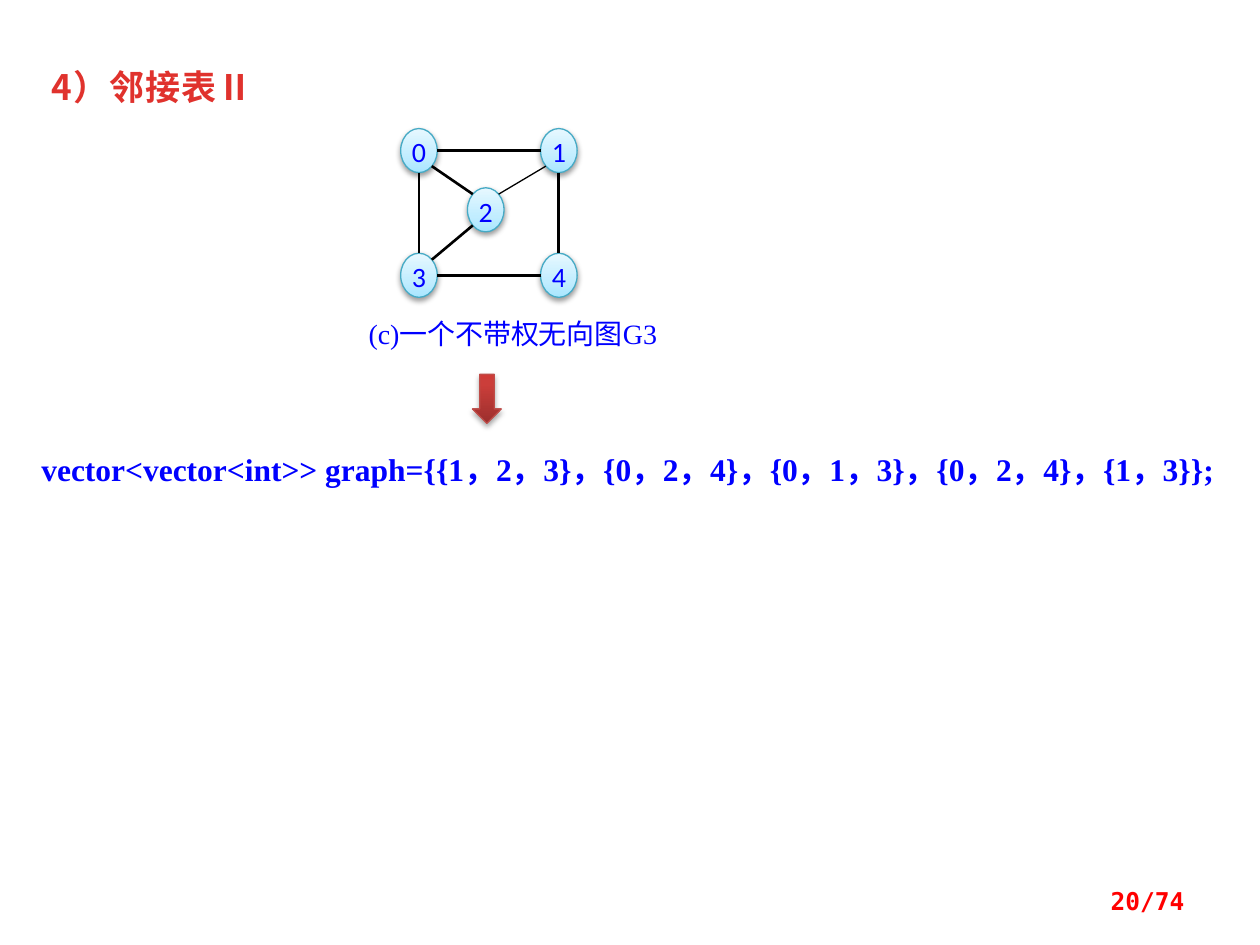
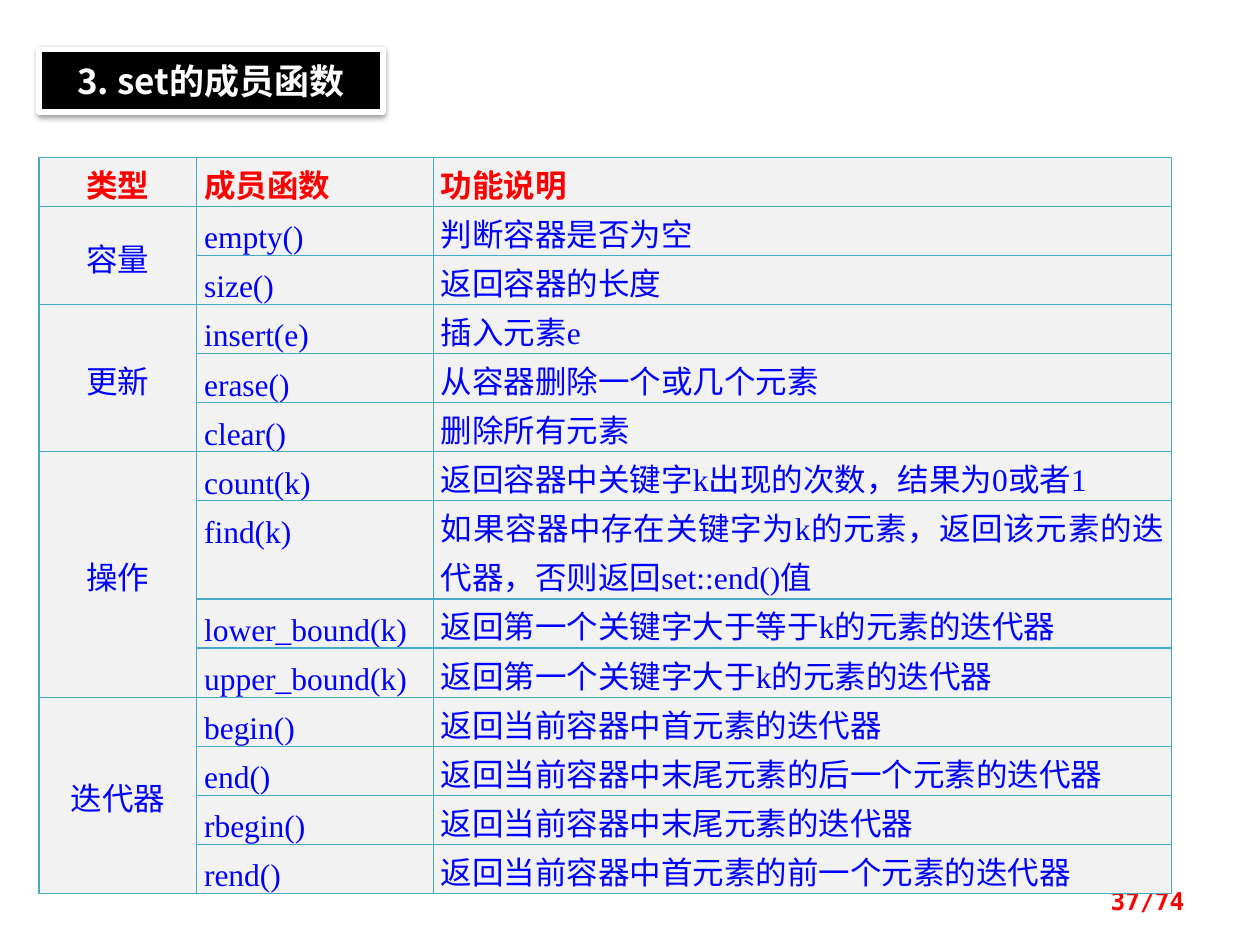
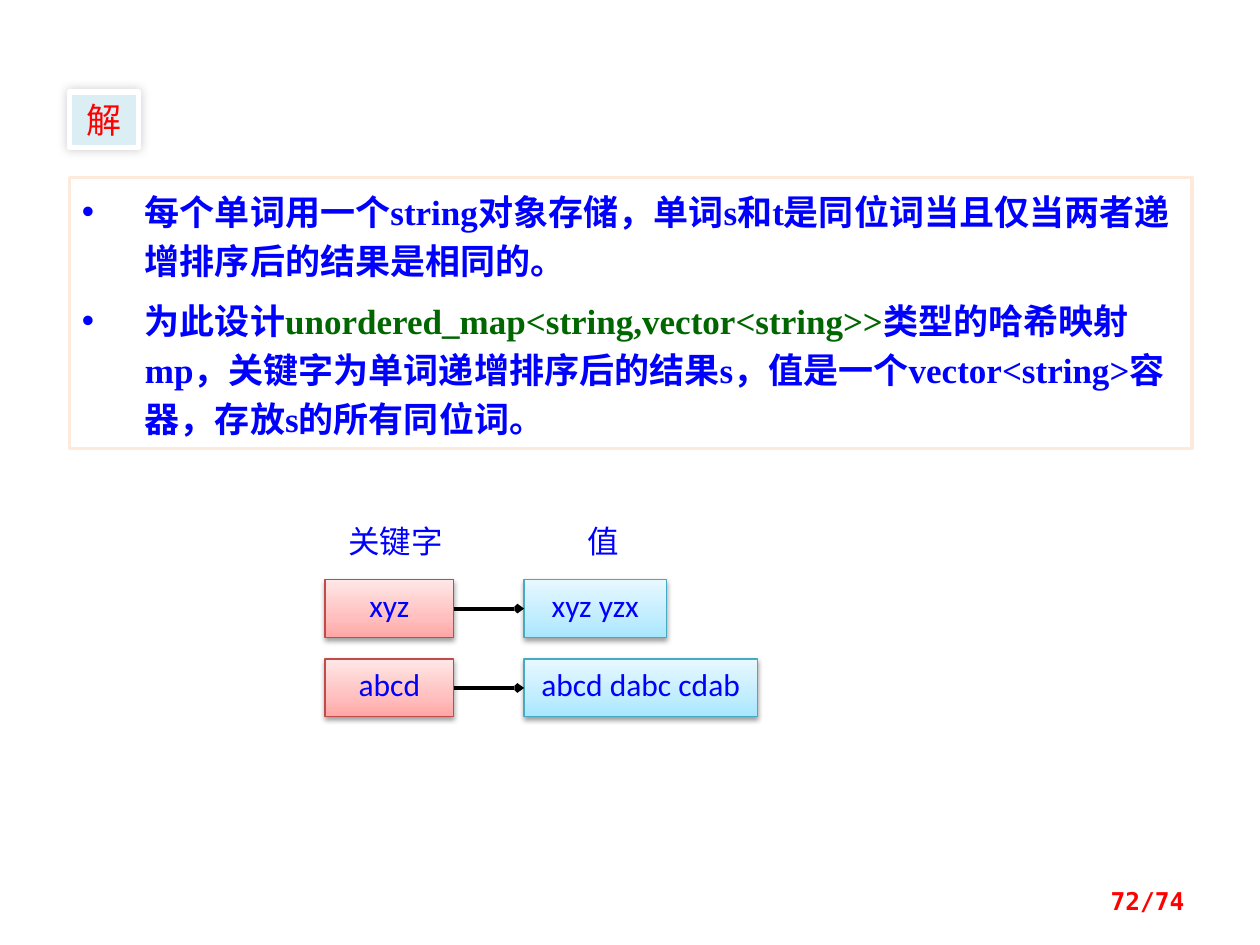
from math import ceil, sqrt
from lxml import etree
from pptx import Presentation
from pptx.dml.color import RGBColor
from pptx.enum.shapes import MSO_CONNECTOR, MSO_SHAPE
from pptx.enum.text import MSO_ANCHOR, MSO_AUTO_SIZE, PP_ALIGN
from pptx.oxml import parse_xml
from pptx.oxml.ns import qn
from pptx.util import Inches, Pt

LEFT, CENTER, RIGHT, JUSTIFY = PP_ALIGN.LEFT, PP_ALIGN.CENTER, PP_ALIGN.RIGHT, PP_ALIGN.JUSTIFY
TOP, MIDDLE = MSO_ANCHOR.TOP, MSO_ANCHOR.MIDDLE
RECT, OVAL, DOWN_ARROW = MSO_SHAPE.RECTANGLE, MSO_SHAPE.OVAL, MSO_SHAPE.DOWN_ARROW
STRAIGHT = MSO_CONNECTOR.STRAIGHT
TITLE_AND_BODY, TITLE_ONLY = 1, 5
DRAWING = "http://schemas.openxmlformats.org/drawingml/2006/main"

BLUE, RED, GREEN, BLACK, WHITE = "0000FF", "FF0000", "006600", "000000", "FFFFFF"
HEADING_RED, CELL_GRAY, TEAL, BRICK = "E0322D", "F2F2F2", "46AAC5", "BF4C48"
PALE_TEAL, PEACH = "DBEEF4", "FDEADA"
AQUA = [(0, "A7E6FF"), (35, "C1EDFF"), (100, "E7F8FF")]
ROSE = [(0, "FFA6A5"), (35, "FFC0BF"), (100, "FFE7E7")]
CRIMSON = [(0, "9C2F2D"), (80, "CB3E3A"), (100, "CE3B37")]
SERIF, SANS, HAN, MONO = "Times New Roman", "Calibri", "Noto Sans CJK SC", "DejaVu Sans Mono"
DROP = (38, 3.1, 1.6, 90)
ARROW_DROP = (35, 3.1, 1.8, 90)
GLOW = (20, 6, 0, 225)
NO_INSET, TEXT_INSET, BAR_INSET = (0, 0), (0.1, 0.05), (0.1, 0.08)
BOX_INSET, CELL_INSET = (0, 0.05), (0.06, 0)
LINE_PITCH = Pt(28)

PAGE_TOTAL = 74
GRAPH_TITLE = "4）邻接表Ⅱ"
GRAPH_CAPTION = "(c)一个不带权无向图G3"
GRAPH_CODE = "vector<vector<int>> graph={{1，2，3}，{0，2，4}，{0，1，3}，{0，2，4}，{1，3}};"
NODE_W, NODE_H = 0.29, 0.35
NODES = [(3.18, 1.02), (4.29, 1.02), (3.71, 1.49), (3.18, 2.01), (4.29, 2.01)]
EDGES = [(0, 1, 1, 0, 1.5), (0, 3, 0, 1, 1.5), (3, 4, 1, 0, 1.5), (0, 2, 1, 1, 1.5),
         (1, 4, 0, 1, 1.5), (3, 2, 1, -1, 1.5), (2, 1, 1, -1, 0.75)]

SET_TITLE = "3. set的成员函数"
SET_HEADER = ("类型", "成员函数", "功能说明")
SET_COLUMNS = (1.25, 1.88, 5.86)
LINE_CHARS = 26
SET_GROUPS = [
    ("容量", [("empty()", "判断容器是否为空"), ("size()", "返回容器的长度")]),
    ("更新", [("insert(e)", "插入元素e"), ("erase()", "从容器删除一个或几个元素"),
            ("clear()", "删除所有元素")]),
    ("操作", [("count(k)", "返回容器中关键字k出现的次数，结果为0或者1"),
            ("find(k)", "如果容器中存在关键字为k的元素，返回该元素的迭代器，否则返回set::end()值"),
            ("lower_bound(k)", "返回第一个关键字大于等于k的元素的迭代器"),
            ("upper_bound(k)", "返回第一个关键字大于k的元素的迭代器")]),
    ("迭代器", [("begin()", "返回当前容器中首元素的迭代器"),
             ("end()", "返回当前容器中末尾元素的后一个元素的迭代器"),
             ("rbegin()", "返回当前容器中末尾元素的迭代器"),
             ("rend()", "返回当前容器中首元素的前一个元素的迭代器")]),
]

SOLUTION_TITLE = "解"
SOLUTION_POINTS = [
    [("每个单词用一个string对象存储，单词s和t是同位词当且仅当两者递增排序后的结果是相同的。", BLUE)],
    [("为此设计", BLUE), ("unordered_map<string,vector<string>>", GREEN),
     ("类型的哈希映射mp，关键字为单词递增排序后的结果s，值是一个vector<string>容器，存放s的所有同位词。", BLUE)],
]
MAP_LABELS = [("关键字", (2.69, 4.14, 0.9, 0.32)), ("值", (4.5, 4.14, 0.57, 0.32))]
MAP_ENTRIES = [("xyz", "xyz yzx", 1.13), ("abcd", "abcd dabc cdab", 1.85)]
MAP_TOP, MAP_STEP, ENTRY_H = 4.6, 0.63, 0.46
KEY_LEFT, KEY_W, VALUE_LEFT = 2.58, 1.02, 4.16


def color(value):
    return RGBColor.from_string(value)


def inches(values):
    return [Inches(v) for v in values]


def add_run(paragraph, text, size, font, ink, bold=False):
    run = paragraph.add_run()
    run.text = text
    run.font.size = Pt(size)
    run.font.name = font
    run.font.bold = bold
    run.font.color.rgb = color(ink)
    east_asian = etree.Element(qn("a:ea"), typeface=HAN)
    run.font._element.find(qn("a:latin")).addnext(east_asian)
    return run


def set_frame(shape, inset=TEXT_INSET, anchor=TOP):
    frame = shape.text_frame
    frame.word_wrap = True
    frame.auto_size = MSO_AUTO_SIZE.NONE
    frame.vertical_anchor = anchor
    frame.margin_left = frame.margin_right = Inches(inset[0])
    frame.margin_top = frame.margin_bottom = Inches(inset[1])
    return frame


def write(shape, text, size, font, ink, bold=False, align=CENTER, inset=TEXT_INSET, anchor=TOP):
    paragraph = set_frame(shape, inset, anchor).paragraphs[0]
    paragraph.alignment = align
    return add_run(paragraph, text, size, font, ink, bold)


def gradient(stops):
    marks = "".join(f'<a:gs pos="{pos * 1000}"><a:srgbClr val="{ink}"/></a:gs>' for pos, ink in stops)
    return parse_xml(f'<a:gradFill xmlns:a="{DRAWING}" rotWithShape="1"><a:gsLst>{marks}</a:gsLst>'
                     '<a:lin ang="16200000" scaled="0"/></a:gradFill>')


def decorate(shape, fill, line, width, shadow=None):
    shape.fill.solid()
    if isinstance(fill, str):
        shape.fill.fore_color.rgb = color(fill)
    else:
        solid = shape._element.spPr.find(qn("a:solidFill"))
        solid.getparent().replace(solid, gradient(fill))
    shape.line.color.rgb = color(line)
    shape.line.width = Pt(width)
    shape.shadow.inherit = False
    if shadow:
        alpha, blur, distance, angle = shadow
        shape._element.spPr.find(qn("a:effectLst")).append(parse_xml(
            f'<a:outerShdw xmlns:a="{DRAWING}" blurRad="{Pt(blur)}" dist="{Pt(distance)}" '
            f'dir="{angle * 60000}" rotWithShape="0"><a:srgbClr val="{BLACK}">'
            f'<a:alpha val="{alpha * 1000}"/></a:srgbClr></a:outerShdw>'))


def add_block(slide, kind, box, fill, line, shadow=DROP):
    block = slide.shapes.add_shape(kind, *inches(box))
    decorate(block, fill, line, 0.75, shadow)
    return block


def add_text(slide, box, *args, **options):
    write(slide.shapes.add_textbox(*inches(box)), *args, **options)


def add_line(slide, start, end, width):
    line = slide.shapes.add_connector(STRAIGHT, *inches(start + end))
    line.line.color.rgb = color(BLACK)
    line.line.width = Pt(width)
    etree.SubElement(line._element.spPr, qn("a:effectLst"))
    return line


def place(shape, box):
    shape.left, shape.top, shape.width, shape.height = inches(box)


def start_slide(deck, layout, page, title, box, ink, **options):
    slide = deck.slides.add_slide(deck.slide_layouts[layout])
    place(slide.shapes.title, box)
    heading = write(slide.shapes.title, title, 20, HAN, ink, **options)
    add_text(slide, (7.17, 6.95, 2.33, 0.4), f"{page}/{PAGE_TOTAL}", 14, MONO, RED,
             bold=True, align=RIGHT, anchor=MIDDLE)
    return slide, heading


def node_edge(node, dx, dy):
    reach = 1 / sqrt(dx * dx + dy * dy) / 2
    left, top = NODES[node]
    return left + NODE_W * (0.5 + dx * reach), top + NODE_H * (0.5 + dy * reach)


def build_graph(deck):
    slide, heading = start_slide(deck, TITLE_ONLY, 20, GRAPH_TITLE, (0.31, 0.47, 2.11, 0.44),
                                 HEADING_RED, bold=True, align=LEFT)
    heading.font._element.set("spc", "50")
    for number, corner in enumerate(NODES):
        node = add_block(slide, OVAL, corner + (NODE_W, NODE_H), AQUA, TEAL)
        write(node, str(number), 16, SANS, BLUE, inset=NO_INSET)
    for first, second, dx, dy, width in EDGES:
        add_line(slide, node_edge(first, dx, dy), node_edge(second, -dx, -dy), width)
    add_text(slide, (2.81, 2.51, 2.52, 0.29), GRAPH_CAPTION, 16, SERIF, BLUE, inset=NO_INSET)
    add_block(slide, DOWN_ARROW, (3.75, 2.97, 0.23, 0.39), CRIMSON, BRICK, ARROW_DROP)
    add_text(slide, (0.23, 3.52, 9.61, 0.4), GRAPH_CODE, 18, SERIF, BLUE, bold=True, align=LEFT)


def fill_cell(cell, text, ink, bold, align, anchor):
    cell.vertical_anchor = anchor
    cell.margin_left = cell.margin_right = Inches(CELL_INSET[0])
    cell.margin_top = cell.margin_bottom = Inches(CELL_INSET[1])
    paragraph = cell.text_frame.paragraphs[0]
    paragraph.alignment = align
    paragraph.line_spacing = LINE_PITCH
    if text:
        add_run(paragraph, text, 18, SERIF, ink, bold)
    properties = cell._tc.get_or_add_tcPr()
    for side in ("lnL", "lnR", "lnT", "lnB"):
        properties.append(parse_xml(
            f'<a:{side} xmlns:a="{DRAWING}" w="{Pt(0.75)}"><a:solidFill>'
            f'<a:srgbClr val="{TEAL}"/></a:solidFill></a:{side}>'))
    cell.fill.solid()
    cell.fill.fore_color.rgb = color(CELL_GRAY)


def build_set(deck):
    slide, _ = start_slide(deck, TITLE_ONLY, 37, SET_TITLE, (0.31, 0.39, 2.73, 0.5),
                           WHITE, bold=True, inset=BAR_INSET)
    decorate(slide.shapes.title, BLACK, WHITE, 3, DROP)
    rows, spans = [SET_HEADER], []
    for group, members in SET_GROUPS:
        spans.append((len(rows), len(rows) + len(members) - 1))
        rows += [("" if i else group,) + member for i, member in enumerate(members)]
    lines = [ceil(len(row[2]) / LINE_CHARS) for row in rows]
    table = slide.shapes.add_table(len(rows), len(SET_COLUMNS), Inches(0.31), Inches(1.25),
                                   Inches(sum(SET_COLUMNS)), LINE_PITCH * sum(lines)).table
    table.first_row = table.horz_banding = False
    for column, width in zip(table.columns, SET_COLUMNS):
        column.width = Inches(width)
    for r, row in enumerate(rows):
        table.rows[r].height = LINE_PITCH * lines[r]
        for c, text in enumerate(row):
            fill_cell(table.cell(r, c), text, BLUE if r else RED, r == 0,
                      JUSTIFY if c else CENTER, TOP if c else MIDDLE)
    for first, last in spans:
        table.cell(first, 0).merge(table.cell(last, 0))


def build_solution(deck):
    slide, _ = start_slide(deck, TITLE_AND_BODY, 72, SOLUTION_TITLE, (0.55, 0.73, 0.55, 0.44), RED)
    decorate(slide.shapes.title, PALE_TEAL, WHITE, 3, GLOW)
    body = slide.placeholders[1]
    place(body, (0.55, 1.41, 8.91, 2.15))
    decorate(body, WHITE, PEACH, 2)
    frame = set_frame(body)
    for i, point in enumerate(SOLUTION_POINTS):
        paragraph = frame.add_paragraph() if i else frame.paragraphs[0]
        paragraph.line_spacing = LINE_PITCH
        paragraph.space_before = Pt(6 if i else 0)
        indent = paragraph._p.get_or_add_pPr()
        indent.set("marL", str(Inches(0.5)))
        indent.set("indent", str(-Inches(0.5)))
        for text, ink in point:
            add_run(paragraph, text, 20, SERIF, ink, True)
    for label, box in MAP_LABELS:
        add_text(slide, box, label, 18, SERIF, BLUE, inset=NO_INSET)
    for i, (key, value, value_w) in enumerate(MAP_ENTRIES):
        top = MAP_TOP + i * MAP_STEP
        key_box = add_block(slide, RECT, (KEY_LEFT, top, KEY_W, ENTRY_H), ROSE, BRICK)
        value_box = add_block(slide, RECT, (VALUE_LEFT, top, value_w, ENTRY_H), AQUA, TEAL)
        write(key_box, key, 18, SANS, BLUE, inset=BOX_INSET)
        write(value_box, value, 18, SANS, BLUE, inset=BOX_INSET)
        middle = top + ENTRY_H / 2
        arrow = add_line(slide, (KEY_LEFT + KEY_W, middle), (VALUE_LEFT, middle), 2.25)
        arrow.begin_connect(key_box, 3)
        arrow.end_connect(value_box, 1)
        etree.SubElement(arrow.line._get_or_add_ln(), qn("a:tailEnd"), type="arrow", w="sm", len="sm")


def main():
    deck = Presentation()
    deck.slide_width, deck.slide_height = Inches(10), Inches(7.5)
    build_graph(deck)
    build_set(deck)
    build_solution(deck)
    deck.save("out.pptx")


if __name__ == "__main__":
    main()
